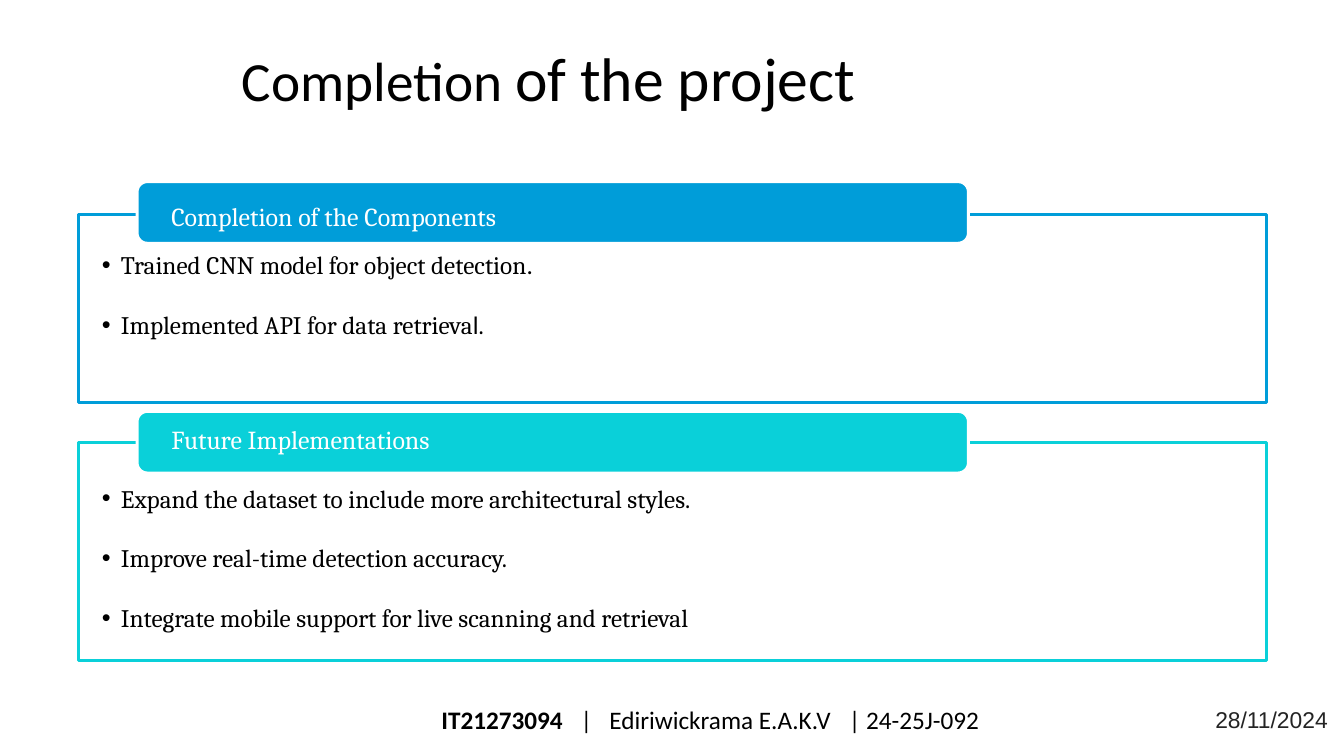
from lxml import etree
from pptx import Presentation
from pptx.dml.color import RGBColor
from pptx.enum.shapes import MSO_SHAPE
from pptx.enum.text import MSO_ANCHOR, MSO_AUTO_SIZE, PP_ALIGN
from pptx.oxml.ns import qn
from pptx.util import Pt

RECT, ROUND = MSO_SHAPE.RECTANGLE, MSO_SHAPE.ROUNDED_RECTANGLE
TOP, MIDDLE = MSO_ANCHOR.TOP, MSO_ANCHOR.MIDDLE
LEFT, CENTER = PP_ALIGN.LEFT, PP_ALIGN.CENTER
NO_FIT = MSO_AUTO_SIZE.NONE

HEX = {"black": "000000", "white": "FFFFFF", "blue": "009DD9",
       "teal": "0AD0D9", "gray": "242424"}
SERIF, SANS, ARIAL = "Cambria", "Calibri", "Arial"

# box of the frame, top of the head, top inset of its label, top inset of the bullets
PANELS = [
    ((56.2, 153.4, 848.2, 133.9), 129.8, 11.5, 25, "blue",
     "Completion of the Components",
     [[("Trained CNN model for object detection", SERIF), (".", SANS)],
      [("Implemented API for data retrieva", SERIF), ("l", SANS), (".", SERIF)]]),
    ((56.2, 316.1, 848.2, 155.5), 293.9, 6.5, 28.8, "teal",
     "Future Implementations",
     [[("Expand the dataset to include more architectural styles.", SERIF)],
      [("Improve real-time detection accuracy.", SERIF)],
      [("Integrate mobile support for live scanning and retrieval", SERIF)]]),
]


def color(name):
    return RGBColor.from_string(HEX[name])


def add_run(para, text, size, font, hue="black", bold=False):
    run = para.add_run()
    run.text = text
    run.font.size, run.font.name, run.font.bold = Pt(size), font, bold
    run.font.color.rgb = color(hue)


def set_frame(shape, left=0, top=0, anchor=TOP):
    """Set wrapping, insets and anchor, and return the text frame."""
    frame = shape.text_frame
    frame.word_wrap, frame.auto_size = True, NO_FIT
    frame.margin_left, frame.margin_top = Pt(left), Pt(top)
    frame.margin_right = frame.margin_bottom = 0
    frame.vertical_anchor = anchor
    return frame


def add_box(slide, kind, box, line, fill=None):
    shape = slide.shapes.add_shape(kind, *map(Pt, box))
    shape.shadow.inherit = False
    if fill:
        shape.fill.solid()
        shape.fill.fore_color.rgb = color(fill)
    else:
        shape.fill.background()
    shape.line.color.rgb = color(line)
    shape.line.width = Pt(2)
    return shape


def add_bullet(para):
    props = para._p.get_or_add_pPr()
    props.set("marL", str(Pt(14.4)))
    props.set("indent", str(Pt(-13.7)))
    etree.SubElement(props, qn("a:buFont")).set("typeface", ARIAL)
    etree.SubElement(props, qn("a:buChar")).set("char", "•")


def add_tabs(para, stops):
    tabs = etree.SubElement(para._p.get_or_add_pPr(), qn("a:tabLst"))
    for stop in stops:
        tab = etree.SubElement(tabs, qn("a:tab"))
        tab.set("pos", str(Pt(stop)))
        tab.set("algn", "l")


def add_title(slide, box):
    title = slide.shapes.title
    title.left, title.top, title.width, title.height = map(Pt, box)
    para = set_frame(title, left=41.8, top=18).paragraphs[0]
    para.alignment = LEFT
    add_run(para, "Completion ", 39.5, SANS)
    add_run(para, "of the project", 44, SANS)


def add_panel(slide, box, head_top, label_in, list_in, hue, label, items):
    """Draw a framed list with a rounded head over its upper edge."""
    left, width = box[0], box[2]
    body = add_box(slide, RECT, box, hue)
    frame = set_frame(body, left=15.8, top=list_in)
    for i, pieces in enumerate(items):
        para = frame.add_paragraph() if i else frame.paragraphs[0]
        add_bullet(para)
        para.alignment = LEFT
        if i:
            para.space_before = Pt(21.2)
        for text, font in pieces:
            add_run(para, text, 18, font)

    head = add_box(slide, ROUND, (left + 41.8, head_top, width * 0.7, 43.9),
                   "white", hue)
    head.adjustments[0] = 0.165
    para = set_frame(head, left=22.3, top=label_in).paragraphs[0]
    para.alignment = LEFT
    add_run(para, label, 18.5, SERIF, "white")


def add_footer(slide, box):
    left, top, width, height = box
    info = slide.shapes.add_textbox(Pt(left), Pt(top), Pt(536), Pt(height))
    para = set_frame(info, left=75.5, anchor=MIDDLE).paragraphs[0]
    add_tabs(para, (99.5, 120, 291))
    para.alignment = LEFT
    add_run(para, "IT21273094", 18, SANS, bold=True)
    add_run(para, "\t|\tEdiriwickrama E.A.K.V\t| 24-25J-092", 18, SANS)

    date = slide.shapes.add_textbox(Pt(left + width - 100), Pt(top - 1.4),
                                    Pt(100), Pt(26))
    para = set_frame(date).paragraphs[0]
    para.alignment, para.line_spacing = CENTER, 1.3
    add_run(para, "28/11/2024", 16.3, ARIAL, "gray")


def main():
    deck = Presentation()
    deck.slide_width, deck.slide_height = Pt(960), Pt(540)
    slide = deck.slides.add_slide(deck.slide_layouts[5])
    add_title(slide, (131, 10.8, 697.7, 120.2))
    for panel in PANELS:
        add_panel(slide, *panel)
    add_footer(slide, (239.8, 499.7, 718.5, 28.8))
    deck.save("out.pptx")


if __name__ == "__main__":
    main()
